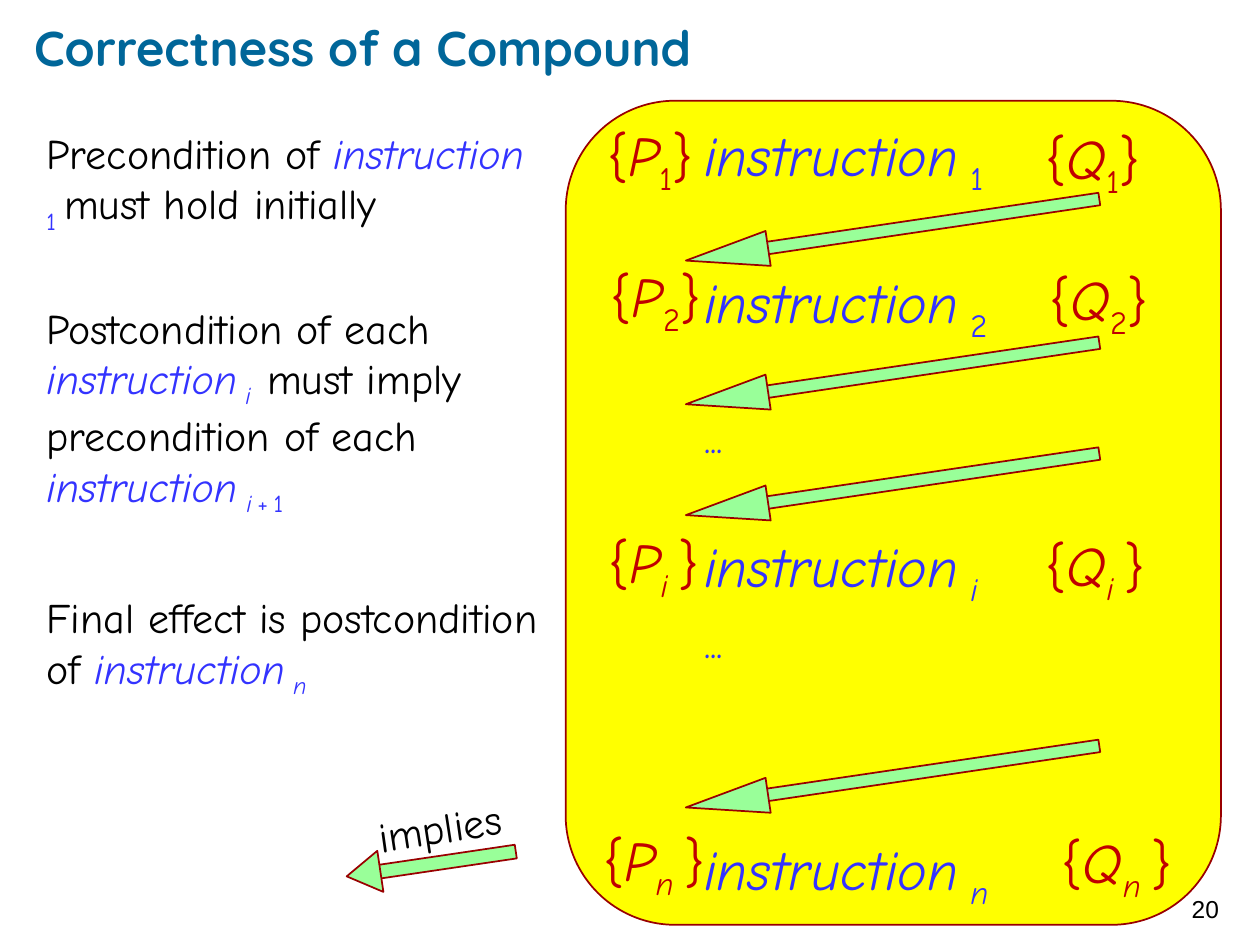
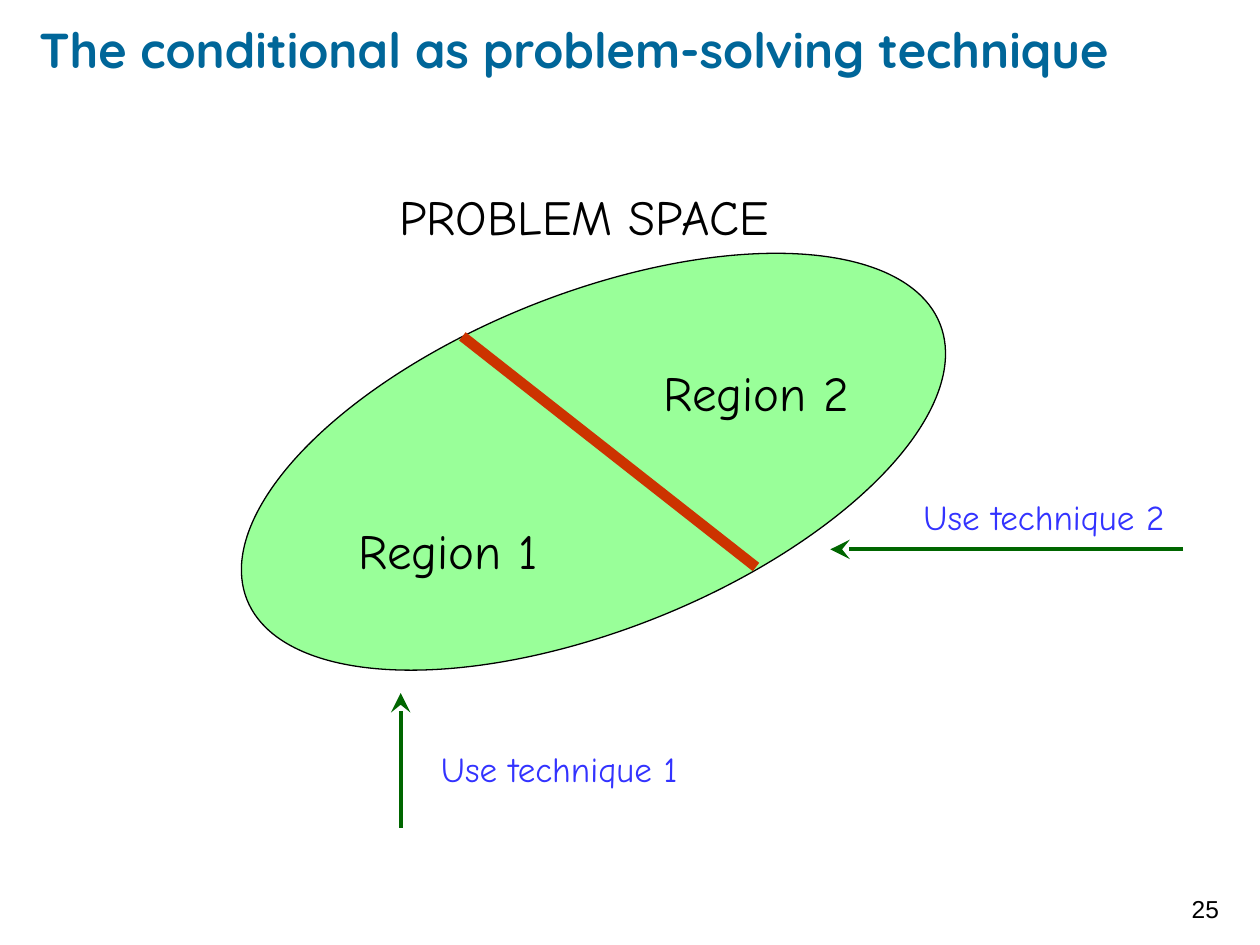
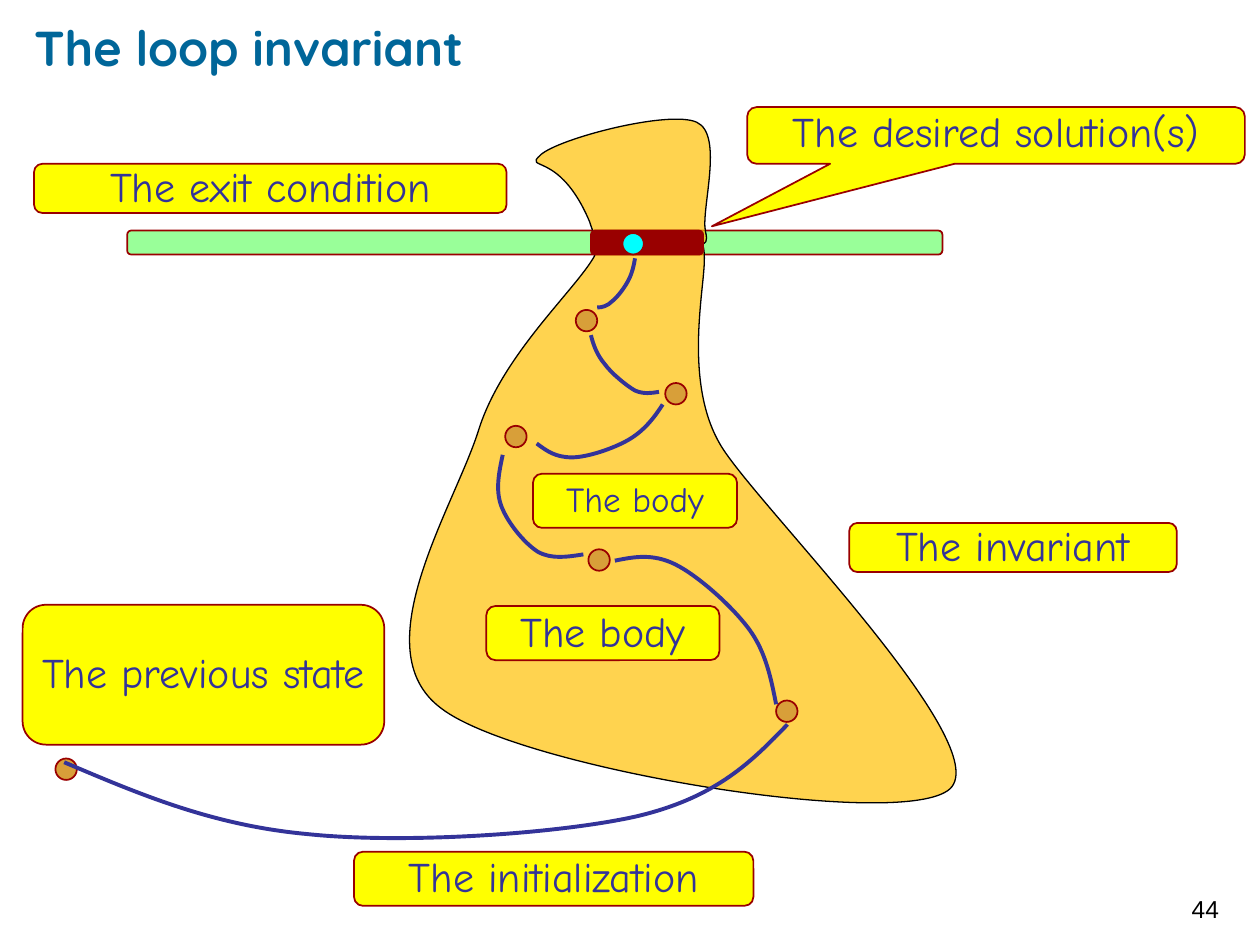
"""Build three slides on compounds, conditionals and loop invariants."""
import dataclasses

import lxml.etree
import pptx
import pptx.dml.color
import pptx.enum.shapes
import pptx.enum.text
import pptx.oxml.ns
import pptx.util

Inches = pptx.util.Inches
qn = pptx.oxml.ns.qn
SHAPES = pptx.enum.shapes.MSO_SHAPE
ANCHOR = pptx.enum.text.MSO_ANCHOR
ALIGN = pptx.enum.text.PP_ALIGN

BODY_FONT = "Comic Neue"
BLACK = "000000"
TITLE_BLUE = "006699"
CODE_BLUE = "3333FF"
NAVY = "333399"
ASSERTION_RED = "C00000"
MAROON = "990000"
YELLOW = "FFFF00"
GREEN = "99FF99"
DARK_GREEN = "006600"
ORANGE = "FFC000"
OCHRE = "D89F39"
CYAN = "00FFFF"
DIVIDER_RED = "CC3300"

INSETS = (0.1, 0.05, 0.1, 0.05)
CORNER = 0.167
ARROW_ANGLE = 171.6


@dataclasses.dataclass
class Run:
    """Hold one run of text and its look."""
    text: str
    size: float = 24
    color: str = BLACK
    italic: bool = False
    bold: bool = False
    subscript: bool = False
    font: str = BODY_FONT


def rgb(color):
    """Turn a hex string into a colour."""
    return pptx.dml.color.RGBColor.from_string(color)


def instruction(index_runs, size=24, gap=14):
    """Return the runs of an instruction name with its index."""
    return [Run("instruction", size, CODE_BLUE, True), Run(" ", gap, CODE_BLUE, True), *index_runs]


def index(text, size=24, italic=True, color=CODE_BLUE):
    """Return a subscript run."""
    return Run(text, size, color, italic, subscript=True)


def add_runs(paragraph, runs):
    """Append formatted runs to a paragraph."""
    for item in runs:
        run = paragraph.add_run()
        run.text = item.text
        run.font.name = item.font
        run.font.size = pptx.util.Pt(item.size)
        run.font.bold = item.bold
        run.font.italic = item.italic
        run.font.color.rgb = rgb(item.color)
        if item.subscript:
            run.font._element.set("baseline", "-25000")


def fill_frame(frame, paragraphs, insets=INSETS, anchor=ANCHOR.TOP, align=ALIGN.LEFT, spacing=None):
    """Write (space before, runs) paragraphs into a text frame."""
    frame.word_wrap = True
    frame.auto_size = pptx.enum.text.MSO_AUTO_SIZE.NONE
    frame.vertical_anchor = anchor
    (frame.margin_left, frame.margin_top,
     frame.margin_right, frame.margin_bottom) = map(Inches, insets)
    for number, (space, runs) in enumerate(paragraphs):
        paragraph = frame.add_paragraph() if number else frame.paragraphs[0]
        paragraph.alignment = align
        paragraph.space_before = pptx.util.Pt(space)
        if spacing:
            paragraph.line_spacing = spacing
        add_runs(paragraph, runs)


def add_text(slide, box, paragraphs, rotation=0, **options):
    """Add a text box."""
    shape = slide.shapes.add_textbox(*map(Inches, box))
    shape.rotation = rotation
    fill_frame(shape.text_frame, paragraphs, **options)


def add_line_of_text(slide, box, text, size=24, color=BLACK, rotation=0):
    """Add a text box that holds one run."""
    add_text(slide, box, [(0, [Run(text, size, color)])], rotation)


def paint(shape, fill, line, width=1):
    """Set the fill and outline of a shape and drop its shadow."""
    shape.shadow.inherit = False
    if fill:
        shape.fill.solid()
        shape.fill.fore_color.rgb = rgb(fill)
    else:
        shape.fill.background()
    shape.line.color.rgb = rgb(line)
    shape.line.width = pptx.util.Pt(width)


def add_preset(slide, kind, box, fill, line=MAROON, width=1, rotation=0, adjustments=()):
    """Add a preset shape."""
    shape = slide.shapes.add_shape(kind, *map(Inches, box))
    paint(shape, fill, line, width)
    shape.rotation = rotation
    for number, value in enumerate(adjustments):
        shape.adjustments[number] = value
    return shape


def add_bar(slide, box, fill):
    """Add a rounded bar."""
    return add_preset(slide, SHAPES.ROUNDED_RECTANGLE, box, fill, adjustments=[CORNER])


def write_label(shape, text, size=24, top=0.08):
    """Write centred label text into a shape."""
    fill_frame(shape.text_frame, [(0, [Run(text, size, NAVY)])], (0, top, 0, 0.05),
               ANCHOR.MIDDLE, ALIGN.CENTER, 0.8)


def add_line(slide, start, end, color, width, arrow=False):
    """Add a straight line, with a stealth arrowhead if wanted."""
    connector = slide.shapes.add_connector(
        pptx.enum.shapes.MSO_CONNECTOR.STRAIGHT, *map(Inches, start + end))
    connector.line.color.rgb = rgb(color)
    connector.line.width = pptx.util.Pt(width)
    properties = connector._element.spPr
    lxml.etree.SubElement(properties, qn("a:effectLst"))
    if arrow:
        outline = properties.find(qn("a:ln"))
        lxml.etree.SubElement(outline, qn("a:tailEnd"), type="stealth", w="lg", len="lg")


def add_curve(slide, points, fill, line, width, close=False):
    """Add a curved outline from a start and triples of curve points."""
    corners = [tuple(map(Inches, point)) for point in points[::3]]
    builder = slide.shapes.build_freeform(*corners[0])
    builder.add_line_segments(corners[1:], close=close)
    shape = builder.convert_to_shape()
    straight_parts = list(shape._element.iter(qn("a:lnTo")))
    for number, part in enumerate(straight_parts):
        part.tag
        curve = lxml.etree.Element(qn("a:cubicBezTo"))
        for x, y in points[3 * number + 1:3 * number + 4]:
            lxml.etree.SubElement(curve, qn("a:pt"), x=str(Inches(x) - shape.left),
                                  y=str(Inches(y) - shape.top))
        part.getparent().replace(part, curve)
    paint(shape, fill, line, width)
    return shape


def set_opacity(shape, percent):
    """Make a solid fill partly transparent."""
    color = shape._element.spPr.find(".//" + qn("a:srgbClr"))
    lxml.etree.SubElement(color, qn("a:alpha"), val=str(percent * 1000))


def add_slide(presentation, title, number, box=(0.27, 0.13, 8.69, 0.48)):
    """Add a slide with its title and number."""
    slide = presentation.slides.add_slide(presentation.slide_layouts[5])
    shape = slide.shapes.title
    shape.left, shape.top, shape.width, shape.height = map(Inches, box)
    fill_frame(shape.text_frame, [(0, [Run(title, 28, TITLE_BLUE, bold=True, font="Quicksand")])],
               (0, 0, 0, 0), ANCHOR.MIDDLE)
    add_text(slide, (9.36, 6.93, 0.6, 0.57), [(0, [Run(str(number), 14, font="Arial")])],
             insets=(0.1,) * 4, anchor=ANCHOR.MIDDLE)
    return slide


def add_implication(slide, shaft, head):
    """Add a slanted block arrow."""
    add_preset(slide, SHAPES.RECTANGLE, shaft, GREEN, rotation=ARROW_ANGLE)
    add_preset(slide, SHAPES.ISOSCELES_TRIANGLE, head, GREEN, rotation=ARROW_ANGLE + 90)


def add_assertion(slide, box, letter, subscript):
    """Add a condition in braces."""
    italic = not subscript.isdigit()
    add_text(slide, box, [(0, [
        Run("{", 32, ASSERTION_RED), Run(letter, 32, ASSERTION_RED, True),
        index(subscript, 32, italic, ASSERTION_RED), Run("}", 32, ASSERTION_RED)])])


def build_compound(presentation):
    """Build the slide on compounds."""
    slide = add_slide(presentation, "Correctness of a Compound", 20)
    add_bar(slide, (4.49, 0.8, 5.2, 6.54), YELLOW)
    next_index = [index("i"), index(" ", 16), index("+", italic=False),
                  index(" ", 16, False), index("1", italic=False)]
    add_text(slide, (0.27, 0.96, 4.1, 6.17), [
        (0, [Run("Precondition of "), *instruction([index("1 ", italic=False)]),
             Run("must hold initially")]),
        (38.4, [Run("Postcondition of each "), *instruction([index("i  ")]),
                Run("must imply precondition of each "), *instruction(next_index, gap=16)]),
        (42.4, [Run("Final effect is postcondition of "), *instruction([index("n")])])])

    def step(subscript):
        """Return the runs of one instruction in the sequence."""
        return instruction([index(subscript, 32, not subscript.isdigit())], 32, 20)

    dots = [Run("...", 24, CODE_BLUE)]
    add_text(slide, (5.49, 0.91, 2.98, 6.39), [
        (0, step("1")), (40, step("2")), (38.4, dots),
        (40, step("i")), (4.8, dots), (96, step("n"))])

    for subscript, top, left, width, right, right_width in (
            ("1", 0.91, 4.72, 0.96, 8.2, 1.06), ("2", 2.03, 4.75, 0.96, 8.23, 1.13),
            ("i ", 4.14, 4.73, 0.96, 8.2, 1.13), ("n ", 6.5, 4.69, 1.02, 8.33, 1.24)):
        add_assertion(slide, (left, top, width, 0.64), "P", subscript)
        add_assertion(slide, (right, top + 0.02, right_width, 0.64), "Q", subscript)
    for top in (1.74, 2.88, 3.76, 6.08):
        add_implication(slide, (5.85, top, 2.89, 0.1), (5.63, top - 0.05, 0.28, 0.66))
    add_implication(slide, (2.91, 6.79, 1.19, 0.11), (2.72, 6.8, 0.33, 0.27))
    add_line_of_text(slide, (2.9, 6.3, 1.38, 0.5), "implies", rotation=351.2)


def build_conditional(presentation):
    """Build the slide on the conditional."""
    slide = add_slide(presentation, "The conditional as problem-solving technique", 25,
                      (0.31, 0.13, 9.61, 0.52))
    add_preset(slide, SHAPES.OVAL, (1.75, 2.33, 5.92, 2.67), GREEN, BLACK, 0.75, 338.3)
    add_line(slide, (3.67, 2.67), (6, 4.5), DIVIDER_RED, 6)
    for text, box in (("Region 1", (2.75, 4.08, 1.88, 0.57)),
                      ("Region 2", (5.17, 2.83, 1.86, 0.57)),
                      ("PROBLEM SPACE", (3.07, 1.43, 3.4, 0.57))):
        add_line_of_text(slide, box, text, 28)
    for text, box, start, end in (
            ("Use technique 1", (3.4, 5.88, 2.92, 0.43), (3.18, 6.57), (3.18, 5.5)),
            ("Use technique 2", (7.23, 3.88, 2.38, 0.43), (9.39, 4.36), (6.59, 4.36))):
        add_line_of_text(slide, box, text, 20, CODE_BLUE)
        add_line(slide, start, end, DARK_GREEN, 2.25, arrow=True)


INVARIANT_OUTLINE = [
    (4.29, 1.23), (4.15, 1.36), (4.44, 1.19), (4.68, 1.76), (4.72, 1.89), (4.69, 1.73),
    (4.72, 2.03), (4.57, 2.3), (3.99, 2.81), (3.8, 3.41), (3.61, 4.02), (2.87, 5.15),
    (3.5, 5.62), (4.12, 6.1), (7.17, 6.6), (7.54, 6.26), (7.91, 5.91), (6.03, 4.03),
    (5.73, 3.55), (5.43, 3.07), (5.58, 2.35), (5.59, 2.09), (5.6, 1.82), (5.51, 1.98),
    (5.51, 1.94), (5.51, 1.9), (5.64, 2), (5.6, 1.84), (5.56, 1.67), (5.75, 1.07),
    (5.53, 0.97), (5.31, 0.87), (4.43, 1.1), (4.29, 1.23)]

STATE_TRAILS = [
    [(0.51, 6.05), (1.1, 6.3), (1.68, 6.55), (2.44, 6.62), (3.2, 6.7), (4.42, 6.62),
     (5.05, 6.48), (5.69, 6.33), (5.97, 6.04), (6.25, 5.75)],
    [(6.16, 5.59), (6.12, 5.39), (6.08, 5.18), (5.95, 5), (5.81, 4.81), (5.54, 4.57),
     (5.36, 4.48), (5.18, 4.39), (5.03, 4.42), (4.88, 4.45)],
    [(3.99, 3.61), (3.96, 3.75), (3.93, 3.89), (3.98, 4.02), (4.03, 4.15), (4.16, 4.31),
     (4.27, 4.38), (4.38, 4.44), (4.5, 4.42), (4.63, 4.4)],
    [(5.26, 3.21), (5.19, 3.32), (5.11, 3.42), (4.99, 3.49), (4.87, 3.56), (4.66, 3.63),
     (4.54, 3.63), (4.41, 3.63), (4.34, 3.58), (4.26, 3.52)],
    [(4.69, 2.66), (4.71, 2.74), (4.74, 2.82), (4.8, 2.89), (4.85, 2.96), (4.97, 3.06),
     (5.04, 3.1), (5.11, 3.13), (5.17, 3.12), (5.23, 3.11)],
    [(5.04, 2.05), (5.03, 2.11), (5.02, 2.16), (4.99, 2.22), (4.96, 2.28), (4.9, 2.36),
     (4.86, 2.39), (4.82, 2.43), (4.78, 2.44), (4.74, 2.44)]]


def build_invariant(presentation):
    """Build the slide on the loop invariant."""
    slide = add_slide(presentation, "The loop invariant", 44)
    add_bar(slide, (1.01, 1.83, 6.47, 0.19), GREEN)
    invariant = add_curve(slide, INVARIANT_OUTLINE, ORANGE, BLACK, 0.75, close=True)
    set_opacity(invariant, 69)
    add_bar(slide, (4.69, 1.83, 0.89, 0.19), MAROON)

    callout = add_preset(slide, SHAPES.ROUNDED_RECTANGULAR_CALLOUT, (5.93, 0.85, 3.95, 0.45),
                         YELLOW, adjustments=(-0.571, 1.603, CORNER))
    write_label(callout, "The desired solution(s)", top=0.05)
    for text, size, box in (
            ("The invariant", 24, (6.74, 4.15, 2.6, 0.39)),
            ("The previous state", 24, (0.18, 4.8, 2.87, 1.11)),
            ("The initialization", 24, (2.81, 6.76, 3.17, 0.43)),
            ("The exit condition", 24, (0.27, 1.3, 3.75, 0.39)),
            ("The body", 24, (3.86, 4.81, 1.85, 0.43)),
            ("The body", 20, (4.23, 3.76, 1.62, 0.43))):
        write_label(add_bar(slide, box, YELLOW), text, size)

    for left, top, fill in ((0.44, 6.02, OCHRE), (6.16, 5.56, OCHRE), (4.67, 4.36, OCHRE),
                            (4.01, 3.38, OCHRE), (5.28, 3.04, OCHRE), (4.57, 2.46, OCHRE),
                            (4.94, 1.85, CYAN)):
        add_preset(slide, SHAPES.OVAL, (left, top, 0.17, 0.17), fill)
    for trail in STATE_TRAILS:
        add_curve(slide, trail, None, NAVY, 2.25)


def main():
    """Build and save the presentation."""
    presentation = pptx.Presentation()
    presentation.slide_width = Inches(10)
    presentation.slide_height = Inches(7.5)
    build_compound(presentation)
    build_conditional(presentation)
    build_invariant(presentation)
    presentation.save("out.pptx")


if __name__ == "__main__":
    main()
